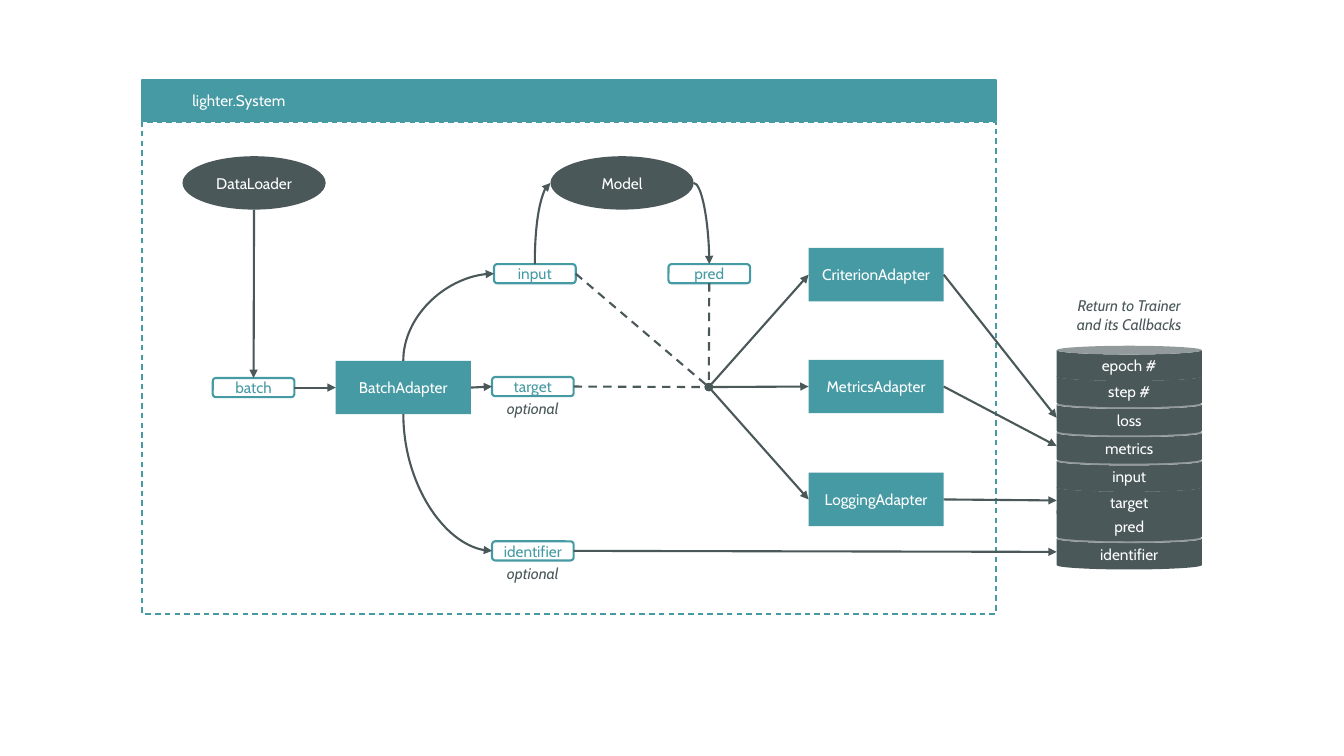
import pptx
import pptx.dml.color
import pptx.enum.dml
import pptx.enum.shapes
import pptx.enum.text
import pptx.oxml.ns
import pptx.oxml.xmlchemy
import pptx.util

Inches, Pt = pptx.util.Inches, pptx.util.Pt
SHAPE = pptx.enum.shapes.MSO_SHAPE
CONNECTOR = pptx.enum.shapes.MSO_CONNECTOR
DASH = pptx.enum.dml.MSO_LINE.DASH
TEAL, SLATE, WHITE = "459AA3", "4B585A", "FFFFFF"

# Content: name -> left, top
ADAPTERS = {
    "BatchAdapter": (3.33, 3.58),
    "CriterionAdapter": (8.02, 2.46),
    "MetricsAdapter": (8.02, 3.57),
    "LoggingAdapter": (8.02, 4.69),
}
ACTORS = {"DataLoader": (1.81, 1.55), "Model": (5.46, 1.55)}
TAGS = {
    "identifier": (4.88, 5.37),
    "input": (4.9, 2.62),
    "target": (4.88, 3.74),
    "pred": (6.63, 2.62),
    "batch": (2.11, 3.75),
}
OPTIONAL = ("target", "identifier")
RESULTS = [  # bottom of the stack first, with the top of each can
    ("identifier", 5.3), ("pred", 5.02), ("target", 4.79), ("input", 4.53),
    ("metrics", 4.25), ("loss", 3.97), ("step #", 3.69), ("epoch #", 3.43),
]
CAPTION = "Return to Trainer and its Callbacks"
SYSTEM = "lighter.System"

ADAPTER_SIZE, ACTOR_SIZE = (1.34, 0.53), (1.42, 0.53)
TAG_SIZE, CAN_SIZE = (0.81, 0.19), (1.44, 0.35)
STACK_LEFT = 10.48
FRAME_LEFT, FRAME_WIDTH = 1.41, 8.47
HUB = (7.03, 3.84)

# Links: (node, side) at each end
ARROWS = [
    (("BatchAdapter", "right"), ("target", "left")),
    (("batch", "right"), ("BatchAdapter", "left")),
    (("DataLoader", "bottom"), ("batch", "top")),
    (HUB, ("CriterionAdapter", "left")),
    (HUB, ("MetricsAdapter", "left")),
    (HUB, ("LoggingAdapter", "left")),
    (("CriterionAdapter", "right"), ("result loss", "left")),
    (("MetricsAdapter", "right"), ("result metrics", "left")),
    (("LoggingAdapter", "right"), ("result target", "left")),
    (("identifier", "right"), ("result identifier", "left")),
]
CURVES = [
    (("BatchAdapter", "top"), ("input", "left")),
    (("BatchAdapter", "bottom"), ("identifier", "left")),
    (("input", "top"), ("Model", "left")),
    (("Model", "right"), ("pred", "top")),
]
DASHES = [("input", "right"), ("target", "right"), ("pred", "bottom")]

prs = pptx.Presentation()
prs.slide_width, prs.slide_height = Inches(13.33), Inches(7.5)
slide = prs.slides.add_slide(prs.slide_layouts[6])
boxes = {}


def rgb(color):
    return pptx.dml.color.RGBColor.from_string(color)


def add_box(shapes, kind, pos, size, text="", fill=None, line=None, width=1.5,
            color=WHITE, italic=False):
    sp = shapes.add_shape(kind, *map(Inches, pos + size))
    sp.shadow.inherit = False
    if fill:
        sp.fill.solid()
        sp.fill.fore_color.rgb = rgb(fill)
    else:
        sp.fill.background()
    if line:
        sp.line.color.rgb = rgb(line)
        sp.line.width = Pt(width)
    else:
        sp.line.fill.background()
    if text:
        tf = sp.text_frame
        tf.word_wrap = True
        tf.margin_top = tf.margin_bottom = 0
        tf.margin_left = tf.margin_right = Inches(0.1 if size[0] > 1 else 0)
        tf.vertical_anchor = pptx.enum.text.MSO_ANCHOR.MIDDLE
        p = tf.paragraphs[0]
        p.alignment = pptx.enum.text.PP_ALIGN.CENTER
        r = p.add_run()
        r.text = text
        r.font.name, r.font.size = "Cabin", Pt(11)
        r.font.color.rgb = rgb(color)
        r.font.italic = italic or None
    return sp


def add_node(name, shapes, kind, pos, size, text, **style):
    boxes[name] = pos + size
    add_box(shapes, kind, pos, size, text, **style)


def point(end):
    """Turn (node, side) into coordinates; plain coordinates pass through."""
    if end[0] not in boxes:
        return end
    x, y, w, h = boxes[end[0]]
    return {"left": (x, y + h / 2), "right": (x + w, y + h / 2),
            "top": (x + w / 2, y), "bottom": (x + w / 2, y + h)}[end[1]]


def add_link(start, end, kind=CONNECTOR.STRAIGHT, head="triangle", dash=None):
    cx = slide.shapes.add_connector(kind, *map(Inches, point(start) + point(end)))
    cx.line.color.rgb = rgb(SLATE)
    cx.line.width = Pt(1.5)
    if dash:
        cx.line.dash_style = dash
    sppr = cx._element.spPr
    tail = pptx.oxml.xmlchemy.OxmlElement("a:tailEnd")
    tail.set("type", head)
    sppr.find(pptx.oxml.ns.qn("a:ln")).append(tail)
    sppr.append(pptx.oxml.xmlchemy.OxmlElement("a:effectLst"))
    return cx


def add_curve(start, end):
    """Quarter bend; one that leaves vertically is turned by a right angle."""
    cx = add_link(start, end, CONNECTOR.CURVE)
    sppr = cx._element.spPr
    sppr.find(pptx.oxml.ns.qn("a:prstGeom")).set("prst", "curvedConnector2")
    if start[1] not in ("top", "bottom"):
        return
    (x1, y1), (x2, y2) = point(start), point(end)
    w, h = abs(y2 - y1), abs(x2 - x1)
    cx.left, cx.top = Inches((x1 + x2 - w) / 2), Inches((y1 + y2 - h) / 2)
    cx.width, cx.height = Inches(w), Inches(h)
    xfrm = sppr.find(pptx.oxml.ns.qn("a:xfrm"))
    up = y2 < y1
    xfrm.set("rot", str((90 if up else 270) * 60000))
    xfrm.set("flipH", "1")
    xfrm.set("flipV", "1" if up else "0")


# Nodes
for name, pos in ADAPTERS.items():
    add_node(name, slide.shapes, SHAPE.RECTANGLE, pos, ADAPTER_SIZE, name, fill=TEAL)
for name, pos in ACTORS.items():
    add_node(name, slide.shapes, SHAPE.OVAL, pos, ACTOR_SIZE, name, fill=SLATE)
for name, pos in TAGS.items():
    add_node(name, slide.shapes, SHAPE.ROUNDED_RECTANGLE, pos, TAG_SIZE, name,
             line=TEAL, color=TEAL)
for name in OPTIONAL:
    x, y = TAGS[name]
    add_box(slide.shapes, SHAPE.ROUNDED_RECTANGLE, (x, y + 0.22), TAG_SIZE,
            "optional", color=SLATE, italic=True)

# System frame with its header
frame = add_box(slide.shapes, SHAPE.RECTANGLE, (FRAME_LEFT, 1.21),
                (FRAME_WIDTH, 4.88), line=TEAL, width=1)
frame.line.dash_style = DASH
header = slide.shapes.add_group_shape().shapes
add_box(header, SHAPE.RECTANGLE, (FRAME_LEFT, 0.79), (FRAME_WIDTH, 0.41),
        fill=TEAL, line=TEAL, width=1.25)
add_box(header, SHAPE.ROUNDED_RECTANGLE, (1.66, 0.79), (1.42, 0.41), SYSTEM)

# Stack of returned values
stack = slide.shapes.add_group_shape().shapes
for name, top in RESULTS:
    add_node("result " + name, stack, SHAPE.CAN, (STACK_LEFT, top), CAN_SIZE,
             name, fill=SLATE)
add_box(slide.shapes, SHAPE.ROUNDED_RECTANGLE, (STACK_LEFT, 2.95), CAN_SIZE,
        CAPTION, color=SLATE, italic=True)

# Links
for start, end in CURVES:
    add_curve(start, end)
for start in DASHES:
    add_link(start, HUB, head="oval", dash=DASH)
for start, end in ARROWS:
    add_link(start, end)

prs.save("out.pptx")
